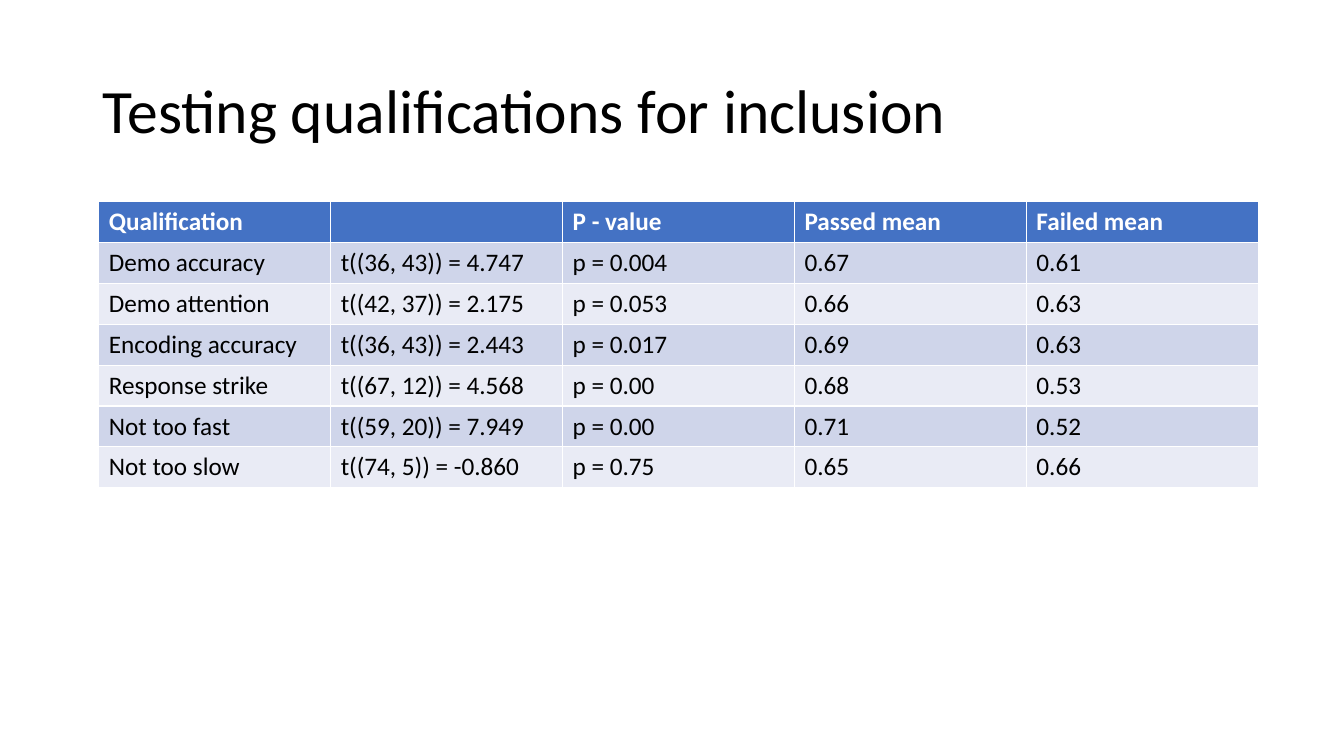
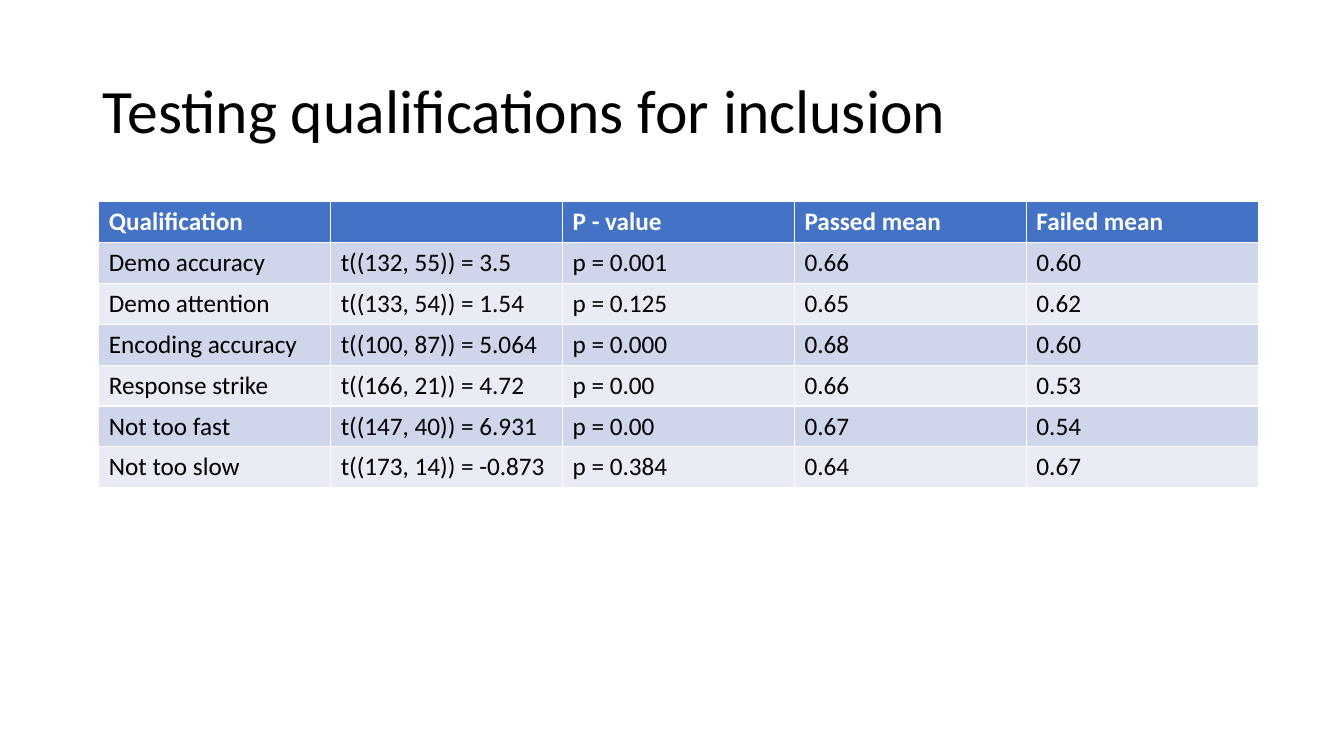
from pptx import Presentation
from pptx.dml.color import RGBColor
from pptx.enum.text import MSO_ANCHOR, PP_ALIGN
from pptx.util import Inches, Pt

BLACK = RGBColor(0x00, 0x00, 0x00)
WHITE = RGBColor(0xFF, 0xFF, 0xFF)
BLUE = RGBColor(0x44, 0x72, 0xC4)
BANDS = RGBColor(0xE9, 0xEB, 0xF5), RGBColor(0xCF, 0xD5, 0xEA)
FONT = "Calibri"

TITLE = "Testing qualifications for inclusion"
HEADS = ["Qualification", "", "P - value", "Passed mean", "Failed mean"]
NAMES = ["Demo accuracy", "Demo attention", "Encoding accuracy",
         "Response strike", "Not too fast", "Not too slow"]
GROUPS = [
    [("t((36, 43)) = 4.747", "p = 0.004", "0.67", "0.61"),
     ("t((42, 37)) = 2.175", "p = 0.053", "0.66", "0.63"),
     ("t((36, 43)) = 2.443", "p = 0.017", "0.69", "0.63"),
     ("t((67, 12)) = 4.568", "p = 0.00", "0.68", "0.53"),
     ("t((59, 20)) = 7.949", "p = 0.00", "0.71", "0.52"),
     ("t((74, 5)) = -0.860", "p = 0.75", "0.65", "0.66")],
    [("t((132, 55)) = 3.5", "p = 0.001", "0.66", "0.60"),
     ("t((133, 54)) = 1.54", "p = 0.125", "0.65", "0.62"),
     ("t((100, 87)) = 5.064", "p = 0.000", "0.68", "0.60"),
     ("t((166, 21)) = 4.72", "p = 0.00", "0.66", "0.53"),
     ("t((147, 40)) = 6.931", "p = 0.00", "0.67", "0.54"),
     ("t((173, 14)) = -0.873", "p = 0.384", "0.64", "0.67")],
]


def style(para, size, color, bold=False):
    font = para.font
    font.name, font.size, font.bold = FONT, Pt(size), bold
    font.color.rgb = color


deck = Presentation()
deck.slide_width, deck.slide_height = Inches(13.33), Inches(7.5)
layout = deck.slide_layouts.get_by_name("Title Only")

# The layout holds the title's place for every slide
frame = layout.placeholders[0]
frame.left, frame.top = Inches(0.92), Inches(0.4)
frame.width, frame.height = Inches(11.5), Inches(1.45)
frame.text_frame.vertical_anchor = MSO_ANCHOR.MIDDLE

for group in GROUPS:
    slide = deck.slides.add_slide(layout)
    title = slide.shapes.title
    title.text = TITLE
    para = title.text_frame.paragraphs[0]
    para.alignment = PP_ALIGN.LEFT
    para.line_spacing = 0.9
    style(para, 44, BLACK)

    rows = [HEADS] + [(name, *stats) for name, stats in zip(NAMES, group)]
    table = slide.shapes.add_table(
        len(rows), len(HEADS),
        Inches(0.98), Inches(2), Inches(11.5), Inches(2.84)).table
    for r, row in enumerate(rows):
        head = r == 0
        for c, text in enumerate(row):
            cell = table.cell(r, c)
            cell.text = text
            cell.fill.solid()
            cell.fill.fore_color.rgb = BLUE if head else BANDS[r % 2]
            style(cell.text_frame.paragraphs[0], 18,
                  WHITE if head else BLACK, head)

deck.save("out.pptx")
